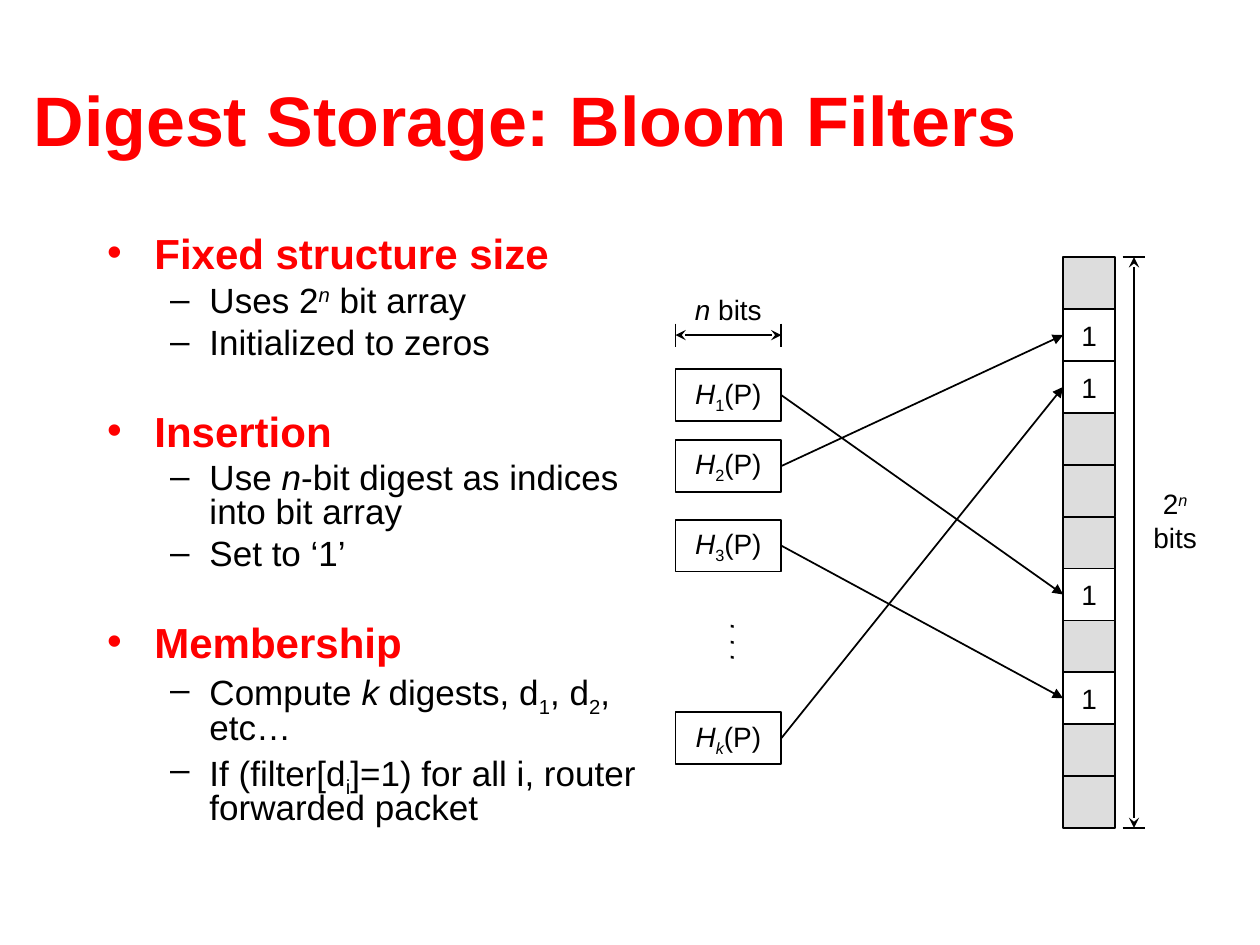
"""Build the Bloom filter slide: bullet list, hash boxes and bit array."""
from lxml.etree import SubElement
from pptx import Presentation
from pptx.dml.color import RGBColor
from pptx.enum.shapes import MSO_CONNECTOR, MSO_SHAPE
from pptx.enum.text import MSO_ANCHOR, MSO_AUTO_SIZE, PP_ALIGN
from pptx.oxml.ns import qn
from pptx.util import Pt

RED = RGBColor(0xFF, 0x00, 0x00)
BLACK = RGBColor(0x00, 0x00, 0x00)
WHITE = RGBColor(0xFF, 0xFF, 0xFF)
GRAY = RGBColor(0xDD, 0xDD, 0xDD)
BASELINES = {"^": "30000", "_": "-25000"}


def write(frame, text, size=16, color=BLACK, bold=False, align=PP_ALIGN.CENTER,
          anchor=MSO_ANCHOR.MIDDLE, wrap=False, bullet=None, margin=0, hang=0,
          before=0, spacing=None):
    """Add a paragraph; after a bar, ^ raises, _ lowers and / slants a span."""
    frame.auto_size = MSO_AUTO_SIZE.NONE
    frame.word_wrap = wrap
    frame.vertical_anchor = anchor
    para = frame.add_paragraph() if frame.text else frame.paragraphs[0]
    para.alignment = align
    para.space_before = Pt(before)
    para.line_spacing = spacing
    if bullet:
        properties = para._p.get_or_add_pPr()
        properties.set("marL", str(Pt(margin)))
        properties.set("indent", str(-Pt(hang)))
        bullet_color = SubElement(properties, qn("a:buClr"))
        SubElement(bullet_color, qn("a:srgbClr"), val=str(color))
        SubElement(properties, qn("a:buFont"), typeface="Arial")
        SubElement(properties, qn("a:buChar"), char=bullet)
    for part in text.split("|"):
        span = para.add_run()
        span.font.name = "Arial"
        span.font.size = Pt(size)
        span.font.bold = bold
        span.font.color.rgb = color
        if part[0] in BASELINES:
            span._r.get_or_add_rPr().set("baseline", BASELINES[part[0]])
            part = part[1:]
        span.font.italic = part.startswith("/")
        span.text = part.removeprefix("/")


def draw_line(x1, y1, x2, y2, head=None, tail=None):
    """Draw a thin black line with optional arrowheads."""
    line = page.shapes.add_connector(
        MSO_CONNECTOR.STRAIGHT, Pt(x1), Pt(y1), Pt(x2), Pt(y2))
    line.line.color.rgb = BLACK
    line.line.width = Pt(1)
    properties = line._element.spPr
    outline = properties.find(qn("a:ln"))
    for tag, kind in (("a:headEnd", head), ("a:tailEnd", tail)):
        if kind:
            SubElement(outline, qn(tag), type=kind)
    SubElement(properties, qn("a:effectLst"))


deck = Presentation()
deck.slide_width, deck.slide_height = Pt(720), Pt(540)
page = deck.slides.add_slide(deck.slide_layouts[1])

title = page.shapes.title
title.left, title.top, title.width, title.height = Pt(12), Pt(23), Pt(690), Pt(90)
write(title.text_frame, "Digest Storage: Bloom Filters", size=40, color=RED,
      bold=True, align=PP_ALIGN.LEFT, wrap=True)

body = page.placeholders[1]
body.left, body.top, body.width, body.height = Pt(54), Pt(132), Pt(318), Pt(378)
sections = [
    ("Fixed structure size", ["Uses 2|^/n| bit array", "Initialized to zeros"]),
    ("Insertion", ["Use |/n|-bit digest as indices into bit array", "Set to ‘1’"]),
    ("Membership", ["Compute |/k| digests, d|_1|, d|_2|, etc…",
                    "If (filter[d|_i|]=1) for all i, router forwarded packet"]),
]
list_format = dict(align=PP_ALIGN.LEFT, anchor=MSO_ANCHOR.TOP, wrap=True, spacing=0.8)
for number, (heading, points) in enumerate(sections):
    write(body.text_frame, heading, size=24, color=RED, bold=True, bullet="•",
          margin=27, hang=27, before=30 if number else 0, **list_format)
    for point in points:
        write(body.text_frame, point, size=20, bullet="–", margin=58.5, hang=22.5,
              before=5, **list_format)
        body.text_frame.paragraphs[-1].level = 1

cell, array_left, array_top, cell_count = 29.65, 607.5, 147, 11
array_bottom = array_top + cell_count * cell
hash_left, hash_width = 386, 60.5
hash_right = hash_left + hash_width
hashes = [("1", 211, 6), ("2", 251.5, 1), ("3", 297, 8), ("/k", 407, 2)]
set_rows = [row for name, top, row in hashes]

boxes = [(array_left, array_top + row * cell, cell,
          "1" if row in set_rows else "") for row in range(cell_count)]
boxes += [(hash_left, top, hash_width, f"/H|_{name}|(P)") for name, top, row in hashes]
for left, top, width, text in boxes:
    box = page.shapes.add_shape(
        MSO_SHAPE.RECTANGLE, Pt(left), Pt(top), Pt(width), Pt(cell))
    box.shadow.inherit = False
    box.fill.solid()
    box.fill.fore_color.rgb = WHITE if text else GRAY
    box.line.color.rgb = BLACK
    box.line.width = Pt(1)
    if text:
        write(box.text_frame, text)

for name, top, row in hashes:
    draw_line(hash_right, top + cell / 2, array_left, array_top + (row + 0.5) * cell,
              tail="triangle")

ruler_y, ruler_x, tick = 191.5, 648, 6.5
draw_line(hash_left, ruler_y, hash_right, ruler_y, head="stealth", tail="stealth")
for x in (hash_left, hash_right):
    draw_line(x, ruler_y - tick, x, ruler_y + tick)
draw_line(ruler_x, array_top, ruler_x, array_bottom, head="stealth", tail="stealth")
for y in (array_top, array_bottom):
    draw_line(ruler_x - tick, y, ruler_x + tick, y)

labels = [
    (hash_left, 162, hash_width, cell, 0, ["/n| bits"]),
    (654.5, 276, 34, 42.5, 0, ["2|^/n", "bits"]),
    (373, 340, 80, 53, 270, ["/. . ."]),
]
for left, top, width, height, rotation, lines in labels:
    label = page.shapes.add_textbox(Pt(left), Pt(top), Pt(width), Pt(height))
    label.rotation = rotation
    for text in lines:
        write(label.text_frame, text)

deck.save("out.pptx")
